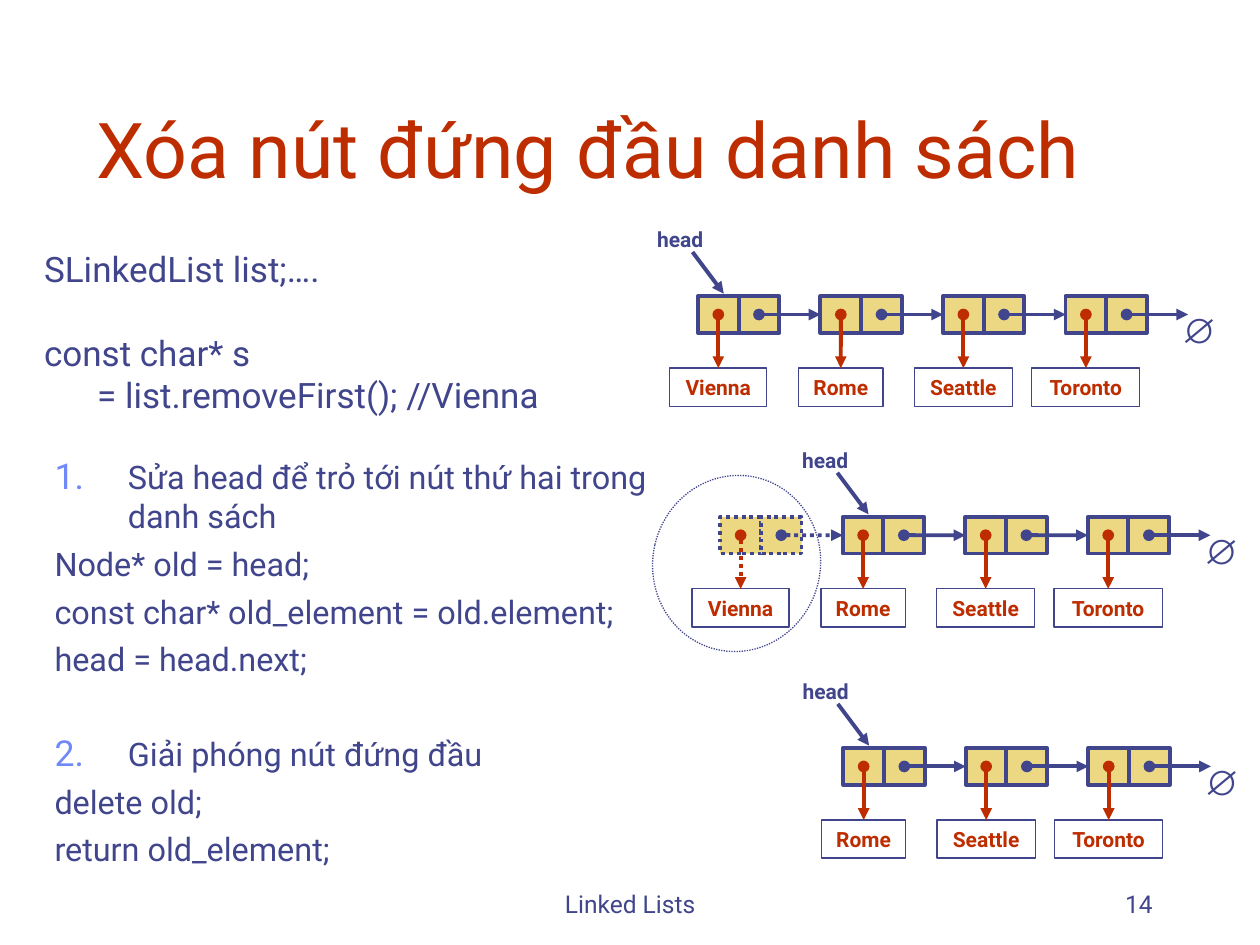
"""Builds a slide on removing the first node of a linked list."""
from dataclasses import dataclass

from lxml import etree
from pptx import Presentation, util as u
from pptx.dml.color import RGBColor
from pptx.enum import dml, shapes, text
from pptx.oxml import ns

LEFT, MID, RIGHT = text.PP_ALIGN.LEFT, text.PP_ALIGN.CENTER, text.PP_ALIGN.RIGHT
TOP, CORE, BASE = (text.MSO_ANCHOR.TOP, text.MSO_ANCHOR.MIDDLE,
                   text.MSO_ANCHOR.BOTTOM)
RECT, RING = shapes.MSO_SHAPE.RECTANGLE, shapes.MSO_SHAPE.OVAL
DOTS = dml.MSO_LINE.ROUND_DOT


@dataclass(frozen=True)
class Theme:
    ink: str = "40458C"
    red: str = "BE2D00"
    gold: str = "ECD882"
    mark: str = "6F89F7"
    face: str = "Roboto"
    sign: str = "Arial"
    title: float = 44
    code: float = 20
    body: float = 18.5
    foot: float = 14
    label: float = 12
    thick: float = 2.25
    thin: float = 0.75


def tag(parent, name, **attrs):
    return etree.SubElement(parent, ns.qn(name), attrs)


class Deck:
    pitch, wide, high = 2.47, 0.82, 0.74
    drop, tall = 1.45, 0.77

    def __init__(self, slide, theme):
        self.slide, self.theme = slide, theme

    def words(self, frame, lines, size, color, face=None, bold=False,
              align=LEFT, anchor=TOP, wrap=True):
        form = {"word_wrap": wrap, "auto_size": text.MSO_AUTO_SIZE.NONE,
                "vertical_anchor": anchor}
        for key, value in form.items():
            setattr(frame, key, value)
        style = {"size": u.Pt(size), "name": face or self.theme.face, "bold": bold}
        for i, (line, gap, inset, num) in enumerate(lines):
            para = frame.add_paragraph() if i else frame.paragraphs[0]
            para.alignment, para.space_before = align, u.Pt(gap)
            run = para.add_run()
            run.text = line
            for key, value in style.items():
                setattr(run.font, key, value)
            run.font.color.rgb = RGBColor.from_string(color)
            self.indent(para, inset, num)

    def indent(self, para, inset, num):
        props = para._p.get_or_add_pPr()
        props.set("marL", str(u.Cm(inset)))
        props.set("indent", str(-u.Cm(inset) if num else 0))
        if num:
            tag(tag(props, "a:buClr"), "a:srgbClr", val=self.theme.mark)
            tag(props, "a:buSzPct", val="110000")
            tag(props, "a:buFont", typeface=self.theme.face)
            tag(props, "a:buAutoNum", type="arabicPeriod", startAt=str(num))

    def title(self, line, *place):
        shape = self.slide.shapes.title
        for key, value in zip(("left", "top", "width", "height"), place):
            setattr(shape, key, u.Cm(value))
        self.words(shape.text_frame, [(line, 0, 0, 0)], self.theme.title,
                   self.theme.red, anchor=BASE)

    def note(self, lines, place, size, **form):
        box = self.slide.shapes.add_textbox(*map(u.Cm, place))
        self.words(box.text_frame, lines, size, self.theme.ink, **form)

    def shape(self, kind, place, weight, fill=None, dash=None):
        item = self.slide.shapes.add_shape(kind, *map(u.Cm, place))
        item.shadow.inherit = False
        if fill:
            item.fill.solid()
            item.fill.fore_color.rgb = RGBColor.from_string(fill)
        else:
            item.fill.background()
        self.stroke(item.line, self.theme.ink, weight, dash)
        return item

    def stroke(self, line, color, weight, dash):
        line.color.rgb = RGBColor.from_string(color)
        for key, value in {"width": u.Pt(weight), "dash_style": dash}.items():
            setattr(line, key, value)

    def arrow(self, start, end, color, dot=True, dash=None, goal=None, side=0):
        item = self.slide.shapes.add_connector(
            shapes.MSO_CONNECTOR.STRAIGHT, *map(u.Cm, (*start, *end)))
        if goal is not None:
            item.end_connect(goal, side)
        self.stroke(item.line, color, self.theme.thick, dash)
        props = item._element.spPr
        line = props.find(ns.qn("a:ln"))
        if dot:
            tag(line, "a:headEnd", type="oval")
        tag(line, "a:tailEnd", type="triangle")
        tag(props, "a:effectLst")

    def node(self, name, width, x, y, dash):
        look = self.theme
        cells = [self.shape(RECT, (x + i * self.wide, y, self.wide, self.high),
                            look.thick, look.gold, dash) for i in range(2)]
        place = (x + (self.wide - width) / 2, y + self.drop, width, self.tall)
        box = self.shape(RECT, place, look.thin)
        self.words(box.text_frame, [(name, 0, 0, 0)], look.label, look.red,
                   bold=True, align=MID, anchor=CORE, wrap=False)
        return cells[0], box

    def chain(self, names, x, y, cut=0):
        look = self.theme
        spots = [x + i * self.pitch for i in range(len(names))]
        dashes = [DOTS if i < cut else None for i in range(len(names))]
        nodes = [self.node(*name, spot, y, dash)
                 for name, spot, dash in zip(names, spots, dashes)]
        goals = [cell for cell, _ in nodes[1:]] + [None]
        mid = y + self.high / 2
        for spot, dash, (_, box), goal in zip(spots, dashes, nodes, goals):
            hub = spot + self.wide / 2
            self.arrow((hub, mid), (hub, y + self.drop), look.red, dash=dash,
                       goal=box)
            self.arrow((hub + self.wide, mid), (spot + self.pitch, mid),
                       look.ink, dash=dash, goal=goal, side=1)
        self.note([("∅", 0, 0, 0)], (spots[-1] + 2.16, y + 0.13, 1.07, 1.12),
                  look.code, face=look.sign, bold=True, align=MID, wrap=False)
        first = spots[cut]
        self.arrow((first - 0.11, y - 0.89), (first + 0.52, y - 0.05), look.ink,
                   dot=False)
        self.note([("head", 0, 0, 0)], (first - 1.13, y - 1.52, 1.55, 0.77),
                  look.label, bold=True, align=MID, wrap=False)


def main():
    show = Presentation()
    show.slide_width, show.slide_height = u.Cm(25.4), u.Cm(19.05)
    look = Theme()
    deck = Deck(show.slides.add_slide(show.slide_layouts[5]), look)

    deck.title("Xóa nút đứng đầu danh sách", 1.69, 0.85, 21.59, 3.18)
    deck.note([("Linked Lists", 0, 0, 0)], (8.68, 17.36, 8.05, 1.27), look.foot,
              align=MID, anchor=BASE)
    deck.note([("14", 0, 0, 0)], (18.2, 17.36, 5.29, 1.27), look.foot,
              align=RIGHT, anchor=BASE)

    deck.note([("SLinkedList list;….", 0, 0, 0),
               ("const char* s", 24, 0, 0),
               ("= list.removeFirst(); //Vienna", 0, 1.07, 0)],
              (0.64, 4.87, 11.22, 3.66), look.code)
    deck.note([("Sửa head để trỏ tới nút thứ hai trong danh sách", 5, 1.48, 1),
               ("Node* old = head;", 5, 0, 0),
               ("const char* old_element = old.element;", 5, 0, 0),
               ("head = head.next;", 5, 0, 0),
               ("Giải phóng nút đứng đầu", 32, 1.48, 2),
               ("delete old;", 5, 0, 0),
               ("return old_element;", 5, 0, 0)],
              (0.85, 9.1, 13.12, 9.31), look.body)

    names = [("Vienna", 1.96), ("Rome", 1.7), ("Seattle", 1.98), ("Toronto", 2.18)]
    deck.chain(names, 14.07, 5.97)
    deck.chain(names, 14.52, 10.42, cut=1)
    deck.chain(names[1:], 17, 15.08)
    ring = deck.shape(RING, (13.16, 9.58, 3.38, 3.56), look.thin, dash=DOTS)
    ring.rotation = 13
    show.save("out.pptx")


if __name__ == "__main__":
    main()
